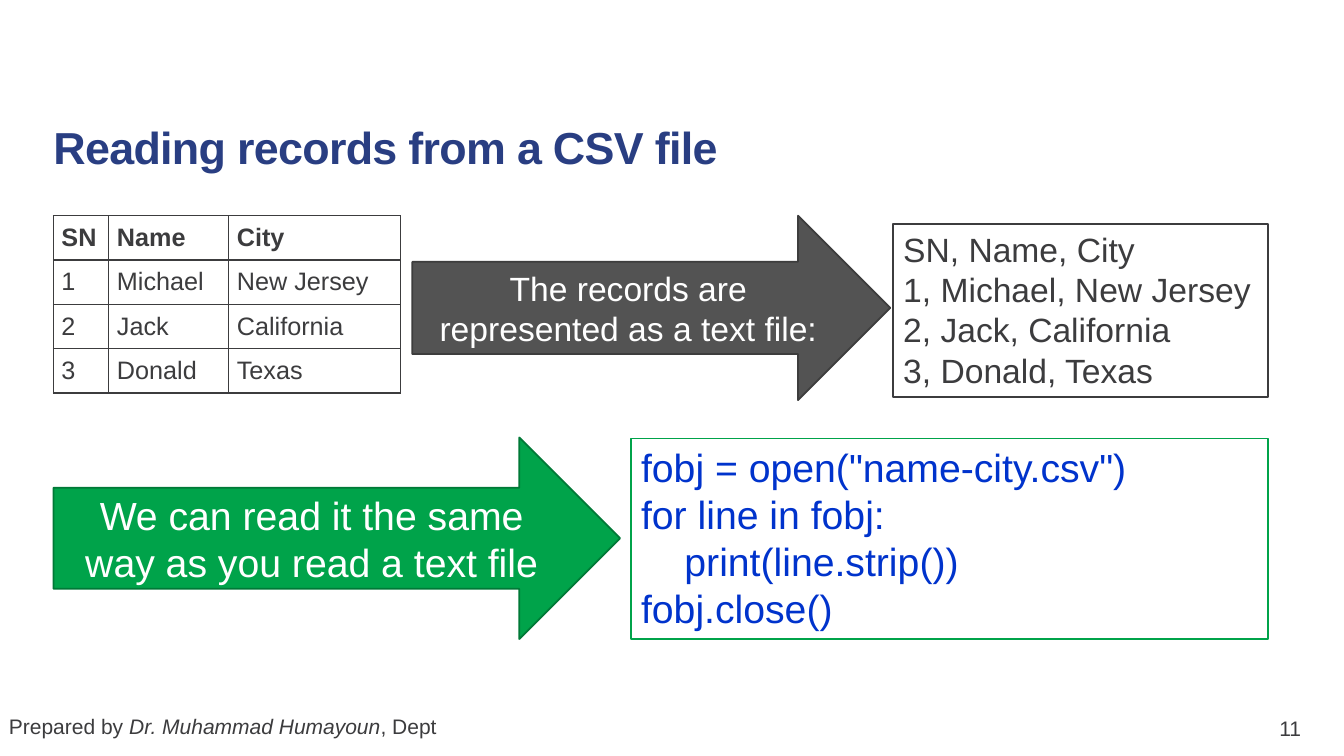
import pptx
import pptx.dml.color
import pptx.enum.shapes
import pptx.enum.text
import pptx.oxml
import pptx.oxml.ns
import pptx.util

Inches = pptx.util.Inches
Pt = pptx.util.Pt
Color = pptx.dml.color.RGBColor.from_string
Align = pptx.enum.text.PP_ALIGN
Anchor = pptx.enum.text.MSO_ANCHOR
Shape = pptx.enum.shapes.MSO_SHAPE

theme = {
    "font": "Arial",
    "ink": "3C3C3E", "navy": "293E82", "blue": "0033CC", "white": "FFFFFF",
    "gray": "535353", "dark": "3D3D3D", "green": "00A34A", "pine": "007937",
    "title": 32, "code": 28, "body": 24, "cell": 18, "foot": 15,
    "line": 1.25, "rule": 1,
}


def write(frame, lines, size, color, align=Align.LEFT, bold=False):
    """Fill a text frame; each line is a list of (text, italic) runs."""
    for i, line in enumerate(lines):
        para = frame.paragraphs[0] if i == 0 else frame.add_paragraph()
        para.alignment = align
        for text, slant in line:
            run = para.add_run()
            run.text = text
            font = run.font
            font.name = theme["font"]
            font.size = Pt(theme[size])
            font.bold = bold
            font.italic = slant
            font.color.rgb = Color(theme[color])


def border(cell):
    """Draw a thin rule on all four sides of a table cell."""
    props = cell._tc.get_or_add_tcPr()
    for i, side in enumerate(("lnL", "lnR", "lnT", "lnB")):
        props.insert(i, pptx.oxml.parse_xml(
            f'<a:{side} {pptx.oxml.ns.nsdecls("a")} w="{Pt(theme["rule"])}">'
            f'<a:solidFill><a:srgbClr val="{theme["ink"]}"/></a:solidFill>'
            f'</a:{side}>'))


deck = pptx.Presentation()
deck.slide_width = Inches(13.33)
deck.slide_height = Inches(7.5)
slide = deck.slides.add_slide(deck.slide_layouts[5])
shapes = slide.shapes

# Title
title = shapes.title
title.left, title.top = Inches(0.43), Inches(0.98)
title.width, title.height = Inches(12.05), Inches(0.79)
frame = title.text_frame
frame.vertical_anchor = Anchor.BOTTOM
write(frame, [[("Reading records from a CSV file", False)]],
      "title", "navy", bold=True)
frame.paragraphs[0].line_spacing = 0.85
frame.paragraphs[0].runs[0].font._element.set("spc", "-50")

# Footer and page number
notes = [
    ((-0.01, 7.03, 4.65, 0.35), False,
     [("Prepared by ", False), ("Dr. Muhammad Humayoun", True),
      (", Dept", False)]),
    ((12.59, 7.05, 0.56, 0.4), True, [("11", False)]),
]
for place, wrap, line in notes:
    frame = shapes.add_textbox(*map(Inches, place)).text_frame
    frame.word_wrap = wrap
    write(frame, [line], "foot", "ink")

# Table of records
rows = [("SN", "Name", "City"), ("1", "Michael", "New Jersey"),
        ("2", "Jack", "California"), ("3", "Donald", "Texas")]
widths = (0.55, 1.19, 1.7)
high = 0.44
table = shapes.add_table(
    len(rows), len(widths), Inches(0.53), Inches(2.14),
    Inches(sum(widths)), Inches(high * len(rows))).table
table.first_row = table.horz_banding = False
for col, width in zip(table.columns, widths):
    col.width = Inches(width)
for r, row in enumerate(rows):
    table.rows[r].height = Inches(high)
    for c, text in enumerate(row):
        cell = table.cell(r, c)
        cell.fill.background()
        border(cell)
        cell.vertical_anchor = Anchor.MIDDLE
        cell.margin_left = cell.margin_right = Inches(0.08)
        cell.margin_top = cell.margin_bottom = Inches(0.07)
        write(cell.text_frame, [[(text, False)]], "cell", "ink", bold=r == 0)

# Arrows, each leading to a box of text
arrow, box = Shape.RIGHT_ARROW, Shape.RECTANGLE
steps = [
    (arrow, (4.09, 2.14, 4.74, 1.83), "gray", "dark", "body", "white",
     ["The records are represented as a text file:"]),
    (box, (8.86, 2.22, 3.72, 1.72), "white", "ink", "body", "ink",
     [", ".join(row) for row in rows]),
    (box, (6.26, 4.35, 6.32, 1.99), "white", "green", "code", "blue",
     ['fobj = open("name-city.csv")', "for line in fobj:",
      "print(line.strip())", "fobj.close()"]),
    (arrow, (0.53, 4.34, 5.62, 2), "green", "pine", "code", "white",
     ["We can read it the same way as you read a text file"]),
]
for kind, place, fill, edge, size, color, lines in steps:
    shape = shapes.add_shape(kind, *map(Inches, place))
    shape.shadow.inherit = False
    shape.fill.solid()
    shape.fill.fore_color.rgb = Color(theme[fill])
    shape.line.color.rgb = Color(theme[edge])
    shape.line.width = Pt(theme["line"])
    frame = shape.text_frame
    frame.word_wrap = True
    frame.vertical_anchor = Anchor.MIDDLE if kind == arrow else Anchor.TOP
    write(frame, [[(line, False)] for line in lines], size, color,
          Align.CENTER if kind == arrow else Align.LEFT)
    for para in frame.paragraphs:
        if para.text.startswith("print"):
            para._p.get_or_add_pPr().set("marL", str(Inches(0.43)))

deck.save("out.pptx")
